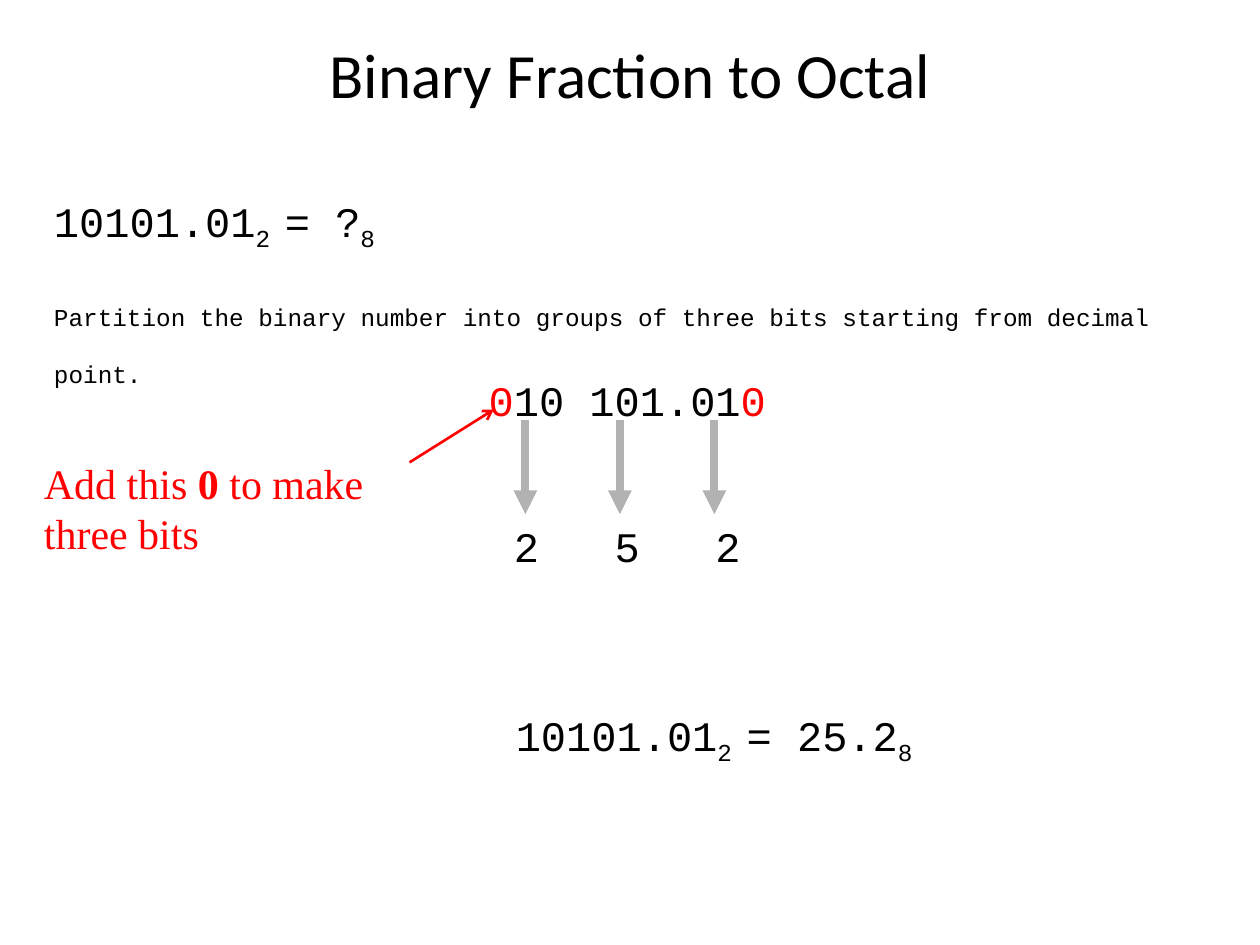
import pptx
import pptx.dml.color
import pptx.enum.shapes
import pptx.enum.text
import pptx.oxml
import pptx.oxml.ns
import pptx.util
from pptx.util import Inches

BLACK = "000000"
RED = "FF0000"
GREY = "B2B2B2"
MONO = "Courier New"


def color(value):
    return pptx.dml.color.RGBColor.from_string(value)


def add_element(parent, tag, **attributes):
    element = pptx.oxml.parse_xml(f"<a:{tag} {pptx.oxml.ns.nsdecls('a')}/>")
    for name, value in attributes.items():
        element.set(name, str(value))
    parent.append(element)
    return element


class SlideBuilder:
    def __init__(self, slide, size=24):
        self.slide = slide
        self.size = size

    def format_run(self, run, font_name, size, run_color):
        run.font.name = font_name
        run.font.size = pptx.util.Pt(size)
        run.font.color.rgb = color(run_color)

    def title(self, text, left, top, width, height):
        shape = self.slide.shapes.title
        shape.left, shape.top = Inches(left), Inches(top)
        shape.width, shape.height = Inches(width), Inches(height)
        frame = shape.text_frame
        frame.text = text
        frame.vertical_anchor = pptx.enum.text.MSO_ANCHOR.MIDDLE
        paragraph = frame.paragraphs[0]
        paragraph.alignment = pptx.enum.text.PP_ALIGN.CENTER
        self.format_run(paragraph.runs[0], "Calibri", 36, BLACK)

    def text_box(self, left, top, width, height):
        shape = self.slide.shapes.add_textbox(
            Inches(left), Inches(top), Inches(width), Inches(height))
        frame = shape.text_frame
        frame.word_wrap = True
        frame.auto_size = pptx.enum.text.MSO_AUTO_SIZE.SHAPE_TO_FIT_TEXT
        return frame

    def paragraph(self, frame, runs, font_name=MONO, first=True, alignment=None):
        paragraph = frame.paragraphs[0] if first else frame.add_paragraph()
        paragraph.alignment = alignment
        for text, run_color, subscript, bold in runs:
            run = paragraph.add_run()
            run.text = text
            self.format_run(run, font_name, self.size, run_color)
            run.font.bold = bold
            if subscript:
                run.font._element.set("baseline", "-25000")
        return paragraph

    def half_line_before(self, paragraph):
        properties = paragraph._p.get_or_add_pPr()
        spacing = add_element(properties, "spcBef")
        add_element(spacing, "spcPct", val=50000)

    def tab_stops(self, paragraph, positions):
        stops = add_element(paragraph._p.get_or_add_pPr(), "tabLst")
        for position in positions:
            add_element(stops, "tab", pos=Inches(position), algn="l")

    def arrow(self, start, end, line_color, width, head):
        connector = self.slide.shapes.add_connector(
            pptx.enum.shapes.MSO_CONNECTOR.STRAIGHT,
            *(Inches(value) for value in (*start, *end)))
        connector.line.color.rgb = color(line_color)
        connector.line.width = pptx.util.Pt(width)
        add_element(connector.line._get_or_add_ln(), "tailEnd", type=head)
        add_element(connector._element.spPr, "effectLst")


def plain(text, run_color=BLACK, bold=False):
    return text, run_color, False, bold


def subscript(text):
    return text, BLACK, True, False


def equation(result):
    return [plain("10101.01"), subscript("2 "), plain(f"= {result}"), subscript("8")]


def main():
    presentation = pptx.Presentation()
    presentation.slide_width = Inches(10)
    presentation.slide_height = Inches(7.5)
    slide = presentation.slides.add_slide(presentation.slide_layouts[5])
    builder = SlideBuilder(slide)

    builder.title("Binary Fraction to Octal", 0.75, 0.17, 8.5, 0.83)

    question = builder.text_box(0.33, 1.5, 9.25, 1.18)
    builder.half_line_before(builder.paragraph(question, equation("?")))
    instruction = "Partition the binary number into groups of three bits starting from decimal point."
    builder.half_line_before(
        builder.paragraph(question, [subscript(instruction)], first=False))

    groups = builder.text_box(3.58, 2.92, 4.83, 1.72)
    bits = [plain(" "), plain("0", RED), plain("10 101.01"), plain("0", RED)]
    builder.half_line_before(builder.paragraph(groups, bits))
    digits = builder.paragraph(groups, [plain("\t2\t5\t2")], first=False)
    digits.space_before = pptx.util.Pt(55)
    builder.tab_stops(digits, [0.4 + 0.8 * index for index in range(3)])

    for index in range(3):
        x = 4.17 + 0.75 * index
        builder.arrow((x, 3.33), (x, 4.08), GREY, 4.5, "triangle")

    answer = builder.text_box(2.67, 5.58, 4.67, 0.5)
    builder.half_line_before(builder.paragraph(
        answer, equation("25.2"), alignment=pptx.enum.text.PP_ALIGN.RIGHT))

    note = builder.text_box(0.25, 3.58, 3.42, 0.91)
    builder.paragraph(
        note,
        [plain("Add this ", RED), plain("0", RED, True), plain(" to make three bits", RED)],
        "Times New Roman")
    builder.arrow((3.25, 3.67), (3.92, 3.25), RED, 1.5, "arrow")

    presentation.save("out.pptx")


if __name__ == "__main__":
    main()
